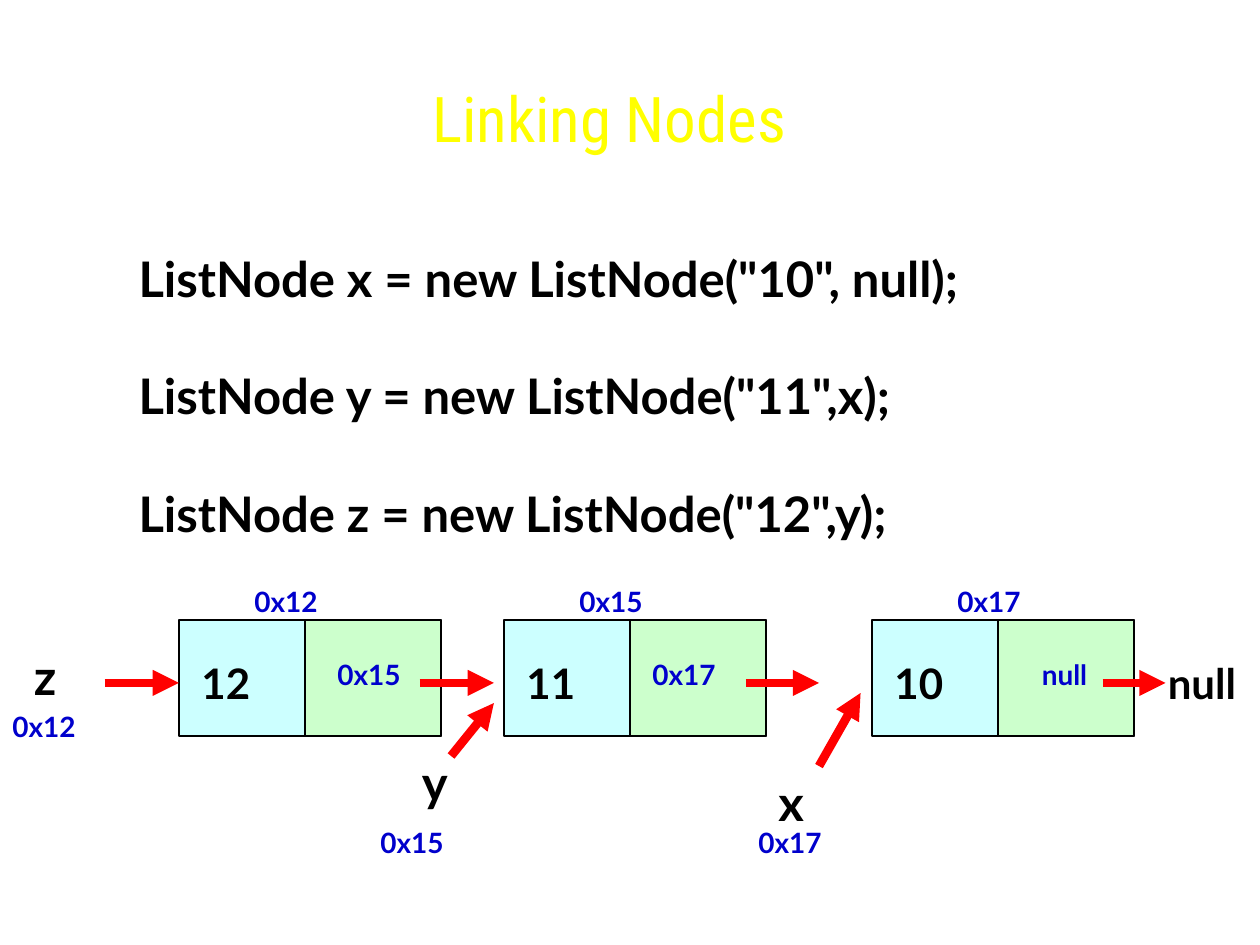
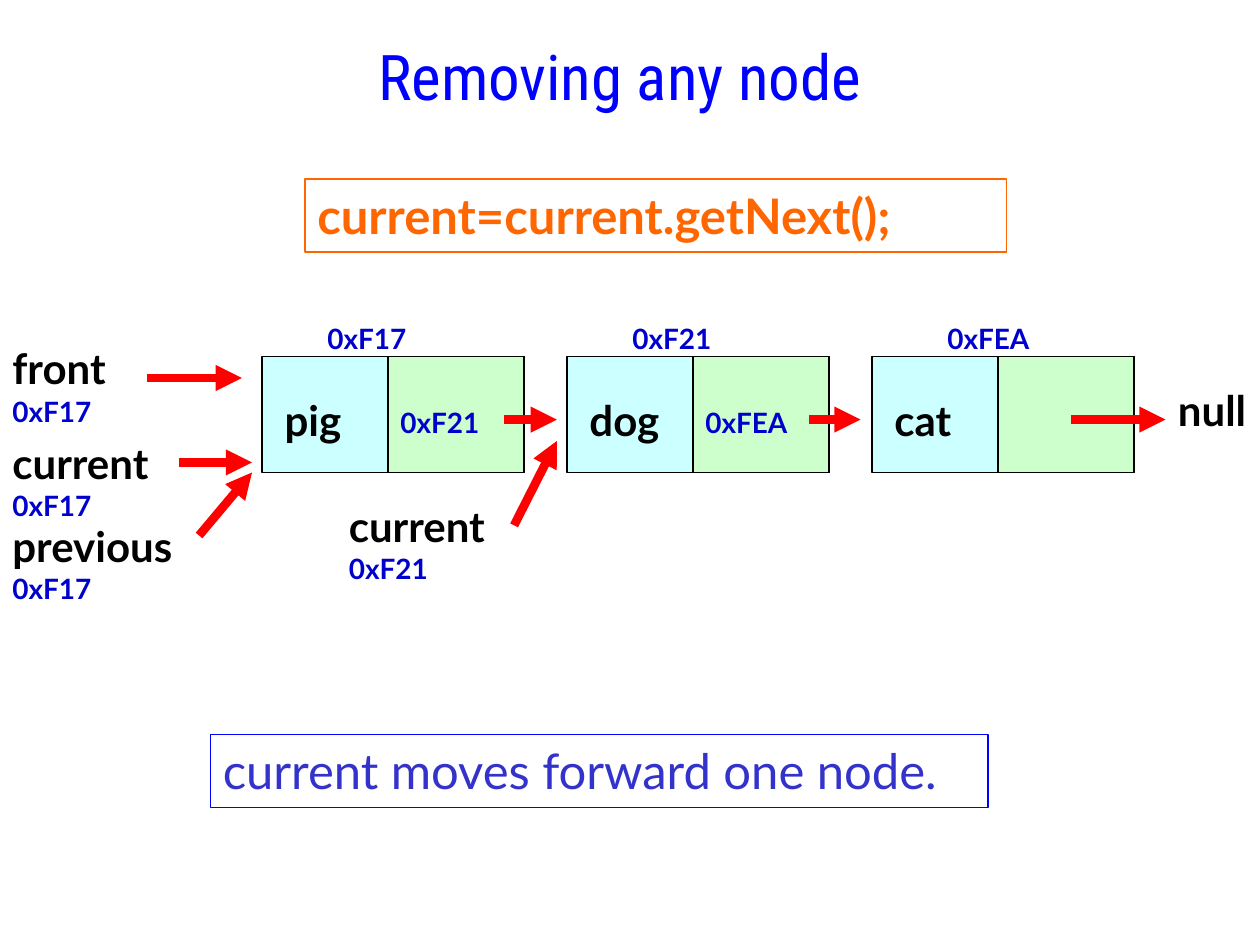
from lxml import etree
from pptx import Presentation
from pptx.dml.color import RGBColor
from pptx.enum.shapes import MSO_CONNECTOR, MSO_SHAPE
from pptx.enum.text import MSO_ANCHOR, MSO_AUTO_SIZE, PP_ALIGN
from pptx.oxml.ns import qn
from pptx.util import Inches, Pt

RECTANGLE = MSO_SHAPE.RECTANGLE
STRAIGHT = MSO_CONNECTOR.STRAIGHT
TOP = MSO_ANCHOR.TOP
NO_AUTOFIT = MSO_AUTO_SIZE.NONE
LEFT, CENTER = PP_ALIGN.LEFT, PP_ALIGN.CENTER

BLACK = RGBColor(0x00, 0x00, 0x00)
YELLOW = RGBColor(0xFF, 0xFF, 0x00)
BLUE = RGBColor(0x00, 0x00, 0xFF)
ADDRESS_BLUE = RGBColor(0x00, 0x00, 0xCC)
NOTE_BLUE = RGBColor(0x33, 0x33, 0xCC)
ORANGE = RGBColor(0xFF, 0x66, 0x00)
RED = RGBColor(0xFF, 0x00, 0x00)
VALUE_FILL = RGBColor(0xCC, 0xFF, 0xFF)
NEXT_FILL = RGBColor(0xCC, 0xFF, 0xCC)

BODY_FONT = "Lato"
TITLE_FONT = "Roboto Condensed"
NODE_WIDTH, NODE_HEIGHT, VALUE_WIDTH = 2.08, 0.92, 1
NEXT_WIDTH = NODE_WIDTH - VALUE_WIDTH


def write_text(shape, lines, size, color, bold=True, font=BODY_FONT, align=LEFT, gap=0):
    frame = shape.text_frame
    frame.word_wrap = True
    frame.auto_size = NO_AUTOFIT
    frame.vertical_anchor = TOP
    for index, line in enumerate(lines):
        paragraph = frame.paragraphs[0] if index == 0 else frame.add_paragraph()
        paragraph.alignment = align
        paragraph.space_before = Pt(gap if index else 0)
        run = paragraph.add_run()
        run.text = line
        run.font.name = font
        run.font.size = Pt(size)
        run.font.bold = bold
        run.font.color.rgb = color


def add_box(slide, left, top, width, height, fill, line, line_width=1):
    shape = slide.shapes.add_shape(
        RECTANGLE, Inches(left), Inches(top), Inches(width), Inches(height))
    shape.shadow.inherit = False
    if fill is None:
        shape.fill.background()
    else:
        shape.fill.solid()
        shape.fill.fore_color.rgb = fill
    shape.line.color.rgb = line
    shape.line.width = Pt(line_width)
    return shape


presentation = Presentation()
presentation.slide_width = Inches(10)
presentation.slide_height = Inches(7.5)

linking_slide = presentation.slides.add_slide(presentation.slide_layouts[1])
removing_slide = presentation.slides.add_slide(presentation.slide_layouts[5])

titles = [
    (linking_slide, "Linking Nodes", YELLOW, (0.92, 0.58, 7.83, 0.92)),
    (removing_slide, "Removing any node", BLUE, (2.42, 0.25, 5, 0.75)),
]
for slide, text, color, box in titles:
    title = slide.shapes.title
    title.left, title.top, title.width, title.height = map(Inches, box)
    write_text(title, [text], 36, color, False, TITLE_FONT, CENTER)

code = linking_slide.placeholders[1]
code.left, code.top = Inches(1), Inches(1.92)
code.width, code.height = Inches(7.81), Inches(2.44)
code_lines = [
    'ListNode x = new ListNode("10", null);',
    'ListNode y = new ListNode("11",x);',
    'ListNode z = new ListNode("12",y);',
]
write_text(code, code_lines, 28, BLACK, gap=33.6)
for paragraph in code.text_frame.paragraphs:
    properties = paragraph._p.get_or_add_pPr()
    properties.set("marL", "0")
    properties.set("indent", "0")
    etree.SubElement(properties, qn("a:buNone"))

statement = add_box(removing_slide, 2.42, 1.42, 5.57, 0.58, None, ORANGE, 0.75)
write_text(statement, ["current=current.getNext();"], 28, ORANGE)
explanation = add_box(removing_slide, 1.67, 5.83, 6.17, 0.58, None, BLUE)
write_text(explanation, ["current moves forward one node."], 28, NOTE_BLUE, False)

chains = [
    (linking_slide, 4.92, 0.25, [
        (1.42, "12", "0x12", 1.92, "0x15", 2.58),
        (4, "11", "0x15", 4.5, "0x17", 5.08),
        (6.92, "10", "0x17", 7.5, "null", 8.17),
    ]),
    (removing_slide, 2.83, 0.34, [
        (2.08, "pig", "0xF17", 2.5, "0xF21", 3.08),
        (4.5, "dog", "0xF21", 4.92, "0xFEA", 5.5),
        (6.92, "cat", "0xFEA", 7.42, None, None),
    ]),
]
labels = [
    (linking_slide, "null", 9.17, 5.17, 24, BLACK),
    (linking_slide, "x", 6.08, 6.08, 28, BLACK),
    (linking_slide, "y", 3.25, 5.92, 28, BLACK),
    (linking_slide, "z", 0.17, 5.08, 28, BLACK),
    (linking_slide, "0x17", 5.92, 6.5, 16, ADDRESS_BLUE),
    (linking_slide, "0x15", 2.92, 6.5, 16, ADDRESS_BLUE),
    (linking_slide, "0x12", 0, 5.58, 16, ADDRESS_BLUE),
    (removing_slide, "null", 9.25, 3, 24, BLACK),
]
pointers = [
    ("front", "0xF17", 0, 2.67),
    ("current", "0xF17", 0, 3.42),
    ("previous", "0xF17", 0, 4.08),
    ("current", "0xF21", 2.67, 3.92),
]
for name, address, left, top in pointers:
    labels.append((removing_slide, name, left, top, 24, BLACK))
    labels.append((removing_slide, address, left, top + 0.41, 16, ADDRESS_BLUE))

for slide, top, next_offset, nodes in chains:
    for left, value, address, address_left, next_address, next_left in nodes:
        add_box(slide, left, top, NODE_WIDTH, NODE_HEIGHT, VALUE_FILL, BLACK)
        add_box(slide, left + VALUE_WIDTH, top, NEXT_WIDTH, NODE_HEIGHT, NEXT_FILL, BLACK)
        labels.append((slide, value, left + 0.08, top + 0.25, 24, BLACK))
        labels.append((slide, address, address_left, top - 0.33, 16, ADDRESS_BLUE))
        if next_address:
            labels.append(
                (slide, next_address, next_left, top + next_offset, 16, ADDRESS_BLUE))

label_heights = {16: 0.37, 24: 0.5, 28: 0.57}
label_widths = {"previous": 1.75, "current": 1.5}
for slide, text, left, top, size, color in labels:
    label = slide.shapes.add_textbox(
        Inches(left), Inches(top),
        Inches(label_widths.get(text, 1.08)), Inches(label_heights[size]))
    write_text(label, [text], size, color)

arrows = [
    (linking_slide, [
        (0.83, 5.42, 1.42, 5.42),
        (3.33, 5.42, 3.92, 5.42),
        (5.92, 5.42, 6.5, 5.42),
        (8.75, 5.42, 9.25, 5.42),
        (3.58, 6, 3.92, 5.58),
        (6.5, 6.08, 6.83, 5.5),
    ]),
    (removing_slide, [
        (1.17, 3, 1.92, 3),
        (1.42, 3.67, 2, 3.67),
        (1.58, 4.25, 2, 3.75),
        (4.08, 4.17, 4.42, 3.5),
        (4, 3.33, 4.42, 3.33),
        (6.42, 3.33, 6.83, 3.33),
        (8.5, 3.33, 9.25, 3.33),
    ]),
]
for slide, ends in arrows:
    for end in ends:
        arrow = slide.shapes.add_connector(STRAIGHT, *map(Inches, end))
        arrow.line.color.rgb = RED
        arrow.line.width = Pt(5)
        etree.SubElement(arrow.line._get_or_add_ln(), qn("a:tailEnd"), type="triangle")
        etree.SubElement(arrow._element.spPr, qn("a:effectLst"))

presentation.save("out.pptx")
